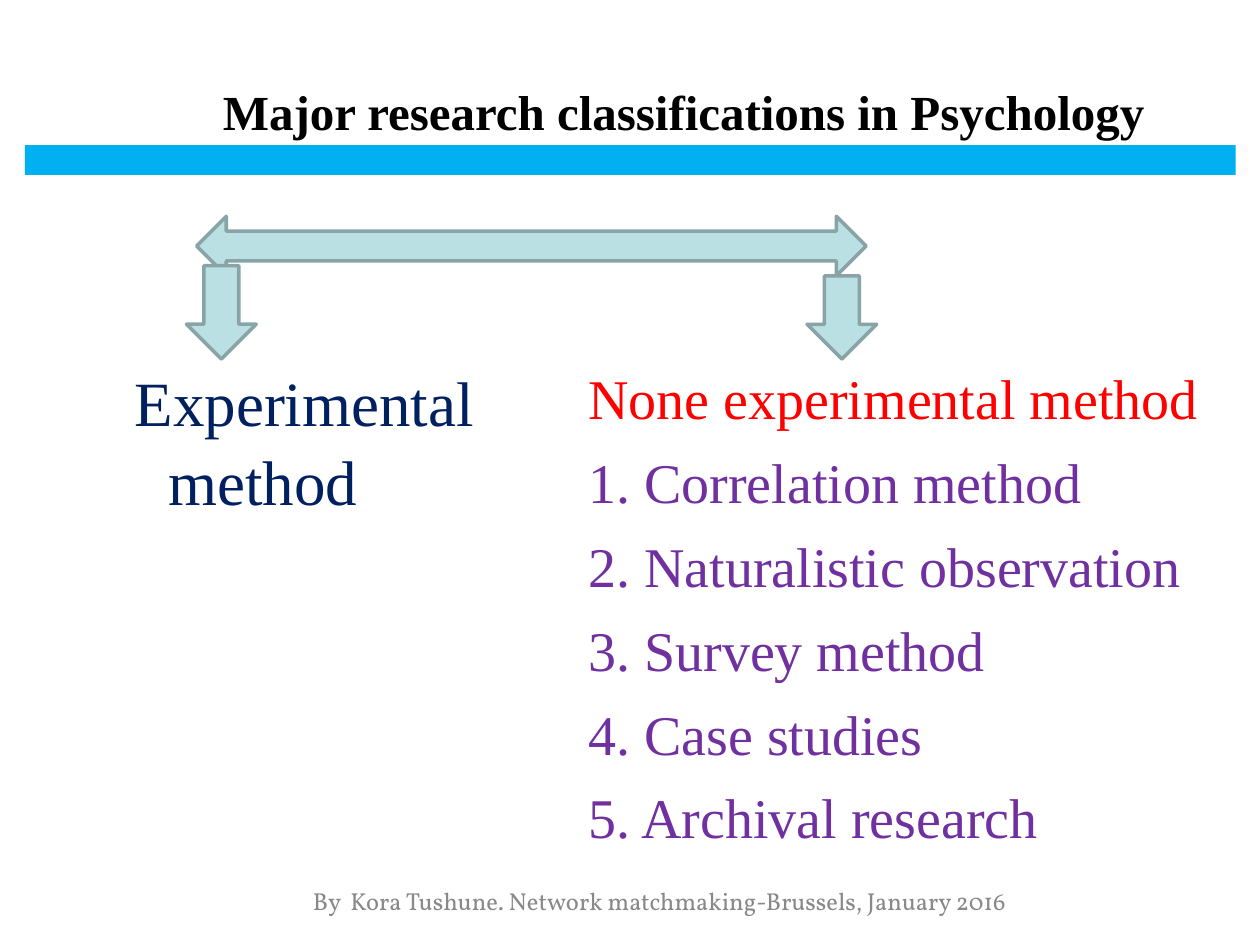
import pptx
import pptx.util
import pptx.dml.color
import pptx.enum.shapes
import pptx.enum.text

Pt = pptx.util.Pt
KIND = pptx.enum.shapes.MSO_SHAPE
ALIGN = pptx.enum.text.PP_ALIGN
ANCHOR = pptx.enum.text.MSO_ANCHOR
SERIF = "Times New Roman"


def color(code):
    return pptx.dml.color.RGBColor.from_string(code)


def shape(slide, kind, area, fill, line=None):
    item = slide.shapes.add_shape(kind, *map(Pt, area))
    item.shadow.inherit = False
    item.fill.solid()
    item.fill.fore_color.rgb = color(fill)
    if line:
        item.line.color.rgb = color(line)
        item.line.width = Pt(2)
    else:
        item.line.fill.background()
    return item


def arrow(slide, kind, area):
    item = shape(slide, kind, area, "BBE0E3", "89A4A7")
    item.adjustments[0] = item.adjustments[1] = 0.5


def text(slide, area, lines, size, font=SERIF, bold=False, align=ALIGN.LEFT,
         anchor=ANCHOR.TOP, sides=(77, 21), top=3.6, hang=0, gap=0, space=1):
    frame = slide.shapes.add_textbox(*map(Pt, area)).text_frame
    frame.word_wrap = True
    frame.vertical_anchor = anchor
    frame.margin_left, frame.margin_right = map(Pt, sides)
    frame.margin_top, frame.margin_bottom = Pt(top), Pt(3.6)
    for i, (words, tint) in enumerate(lines):
        para = frame.paragraphs[0] if i == 0 else frame.add_paragraph()
        para.alignment = align
        para.line_spacing = space
        para.space_before = Pt(gap if i else 0)
        if hang:
            props = para._p.get_or_add_pPr()
            props.set("marL", str(Pt(hang)))
            props.set("indent", str(Pt(-hang)))
        run = para.add_run()
        run.text = words
        run.font.name = font
        run.font.size = Pt(size)
        run.font.bold = bold
        run.font.color.rgb = color(tint)


def main():
    deck = pptx.Presentation()
    deck.slide_width, deck.slide_height = Pt(720), Pt(540)
    slide = deck.slides.add_slide(deck.slide_layouts[6])

    shape(slide, KIND.RECTANGLE, (14.2, 83, 692, 17), "00B0F0")
    text(slide, (50.4, 11.5, 652.3, 102),
         [("Major research classifications in Psychology", "000000")], 28,
         bold=True, anchor=ANCHOR.MIDDLE, space=1.04)

    body = dict(top=6, hang=19.4, gap=8, space=1.04)
    text(slide, (0, 200.2, 292.3, 339.8),
         [("Experimental method", "002060")], 36, **body)
    kinds = ["Correlation method", "Naturalistic observation",
             "Survey method", "Case studies", "Archival research"]
    lines = [("None experimental method", "FF0000")]
    lines += [(f"{i}. {kind}", "7030A0") for i, kind in enumerate(kinds, 1)]
    text(slide, (259.2, 200.2, 460.8, 339.8), lines, 32, **body)

    text(slide, (90, 500.4, 573.8, 28.8),
         [("By  Kora Tushune. Network matchmaking-Brussels, January 2016",
           "898989")], 14, font="Vollkorn", align=ALIGN.CENTER,
         anchor=ANCHOR.MIDDLE, sides=(7.2, 7.2))

    arrow(slide, KIND.LEFT_RIGHT_ARROW, (112.3, 123.6, 382.6, 34))
    for left, top in [(106.6, 151.8), (461.2, 157.6)]:
        arrow(slide, KIND.DOWN_ARROW, (left, top, 39.8, 205.2 - top))

    deck.save("out.pptx")


if __name__ == "__main__":
    main()
